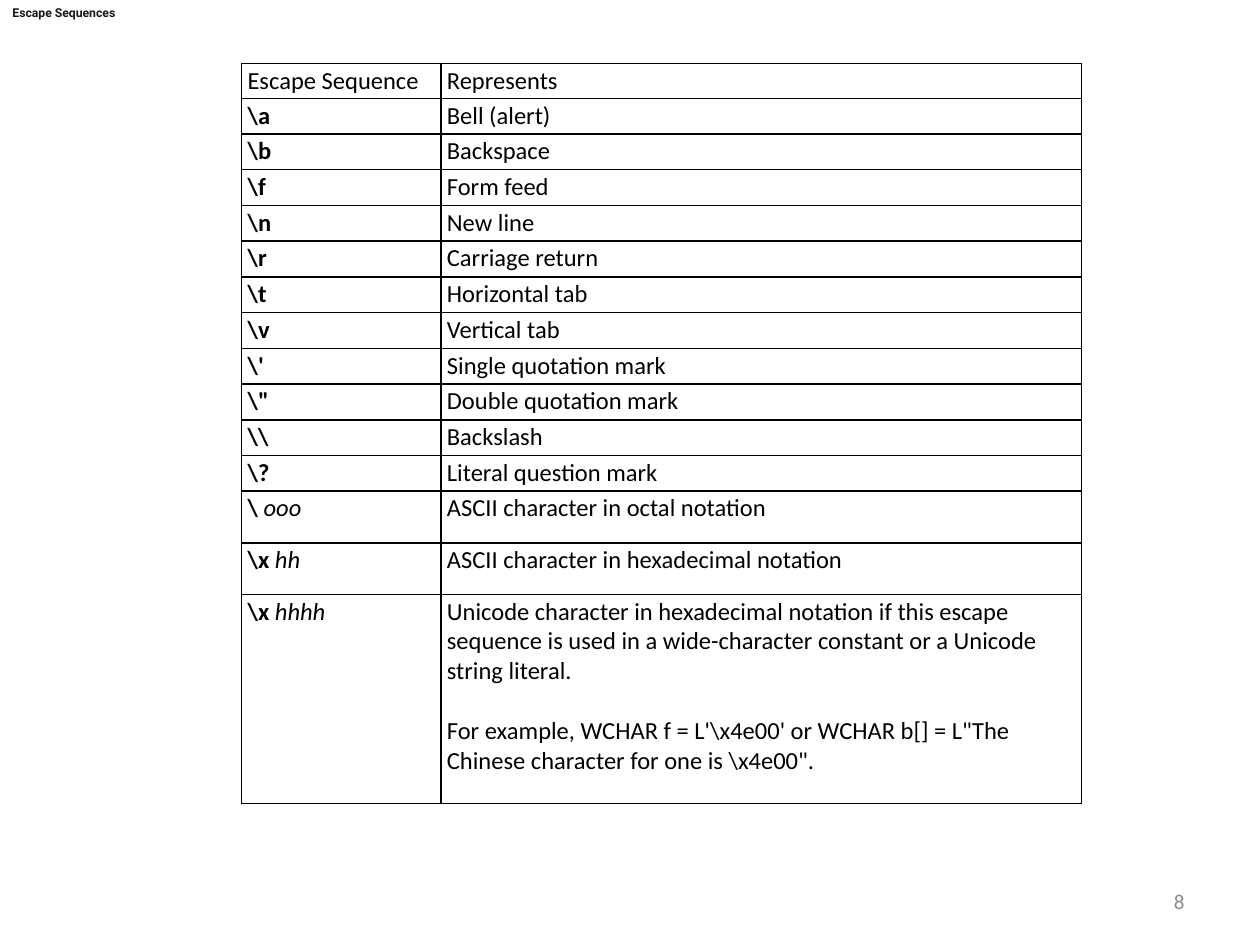
from lxml.etree import SubElement
from pptx import Presentation
from pptx.dml.color import RGBColor
from pptx.enum.text import MSO_ANCHOR as Anchor, MSO_AUTO_SIZE as AutoSize, PP_ALIGN as Align
from pptx.oxml.ns import qn
from pptx.util import Cm, Pt

TITLE = "Escape Sequences"
PAGE_NUMBER = "8"
HEADER = ("Escape Sequence", "Represents")
ESCAPES = [
    (r"\a", "", "Bell (alert)"),
    (r"\b", "", "Backspace"),
    (r"\f", "", "Form feed"),
    (r"\n", "", "New line"),
    (r"\r", "", "Carriage return"),
    (r"\t", "", "Horizontal tab"),
    (r"\v", "", "Vertical tab"),
    (r"\'", "", "Single quotation mark"),
    (r'\"', "", "Double quotation mark"),
    (r"\\", "", "Backslash"),
    (r"\?", "", "Literal question mark"),
    (r"\ ", "ooo", "ASCII character in octal notation"),
    (r"\x ", "hh", "ASCII character in hexadecimal notation"),
    (r"\x ", "hhhh", "Unicode character in hexadecimal notation if this escape sequence "
     "is used in a wide-character constant or a Unicode string literal."),
]
EXAMPLE = (r"""For example, WCHAR f = L'\x4e00' or WCHAR b[] = L"The """
           r"""Chinese character for one is \x4e00".""")
COLUMN_WIDTHS = (4.02, 12.91)
ROW_HEIGHTS = [0.7] + [0.72] * 11 + [1.04] * 2 + [4.22]
BLACK = "000000"


def color(value):
    return RGBColor.from_string(value)


def add_text(paragraph, text, size=14, font="Calibri", fill=BLACK, bold=False, italic=False):
    run = paragraph.add_run()
    run.text = text
    run.font.size = Pt(size)
    run.font.name = font
    run.font.bold = bold
    run.font.italic = italic
    run.font.color.rgb = color(fill)


def format_cell(cell):
    cell.margin_left = cell.margin_right = Cm(0.12)
    cell.margin_top = cell.margin_bottom = Cm(0.05)
    cell.fill.background()
    properties = cell._tc.get_or_add_tcPr()
    for position, side in enumerate(("a:lnL", "a:lnR", "a:lnT", "a:lnB")):
        line = SubElement(properties, qn(side), w=str(Pt(1)))
        fill = SubElement(line, qn("a:solidFill"))
        SubElement(fill, qn("a:srgbClr"), val=BLACK)
        properties.insert(position, line)


def add_title(slide):
    title = slide.shapes.title
    title.left, title.top, title.width, title.height = 0, 0, Cm(25.4), Cm(1.27)
    title.fill.solid()
    title.fill.fore_color.rgb = color("FFFFFF")
    frame = title.text_frame
    frame.auto_size = AutoSize.NONE
    frame.vertical_anchor = Anchor.TOP
    frame.margin_left, frame.margin_top = Cm(0.25), Cm(0.1)
    paragraph = frame.paragraphs[0]
    paragraph.alignment = Align.LEFT
    add_text(paragraph, TITLE, size=7, font="Roboto", fill="171717", bold=True)


def add_escape_table(slide):
    frame = slide.shapes.add_table(len(ROW_HEIGHTS), len(COLUMN_WIDTHS), Cm(4.87), Cm(1.28),
                                   Cm(sum(COLUMN_WIDTHS)), Cm(sum(ROW_HEIGHTS)))
    table = frame.table
    table.first_row = table.horz_banding = False
    for column, width in zip(table.columns, COLUMN_WIDTHS):
        column.width = Cm(width)
    for row, height in zip(table.rows, ROW_HEIGHTS):
        row.height = Cm(height)
    for cell in table.iter_cells():
        format_cell(cell)
    for column, label in enumerate(HEADER):
        add_text(table.cell(0, column).text_frame.paragraphs[0], label)
    for row, (code, digits, meaning) in enumerate(ESCAPES, start=1):
        sequence = table.cell(row, 0).text_frame.paragraphs[0]
        add_text(sequence, code, bold=True)
        if digits:
            add_text(sequence, digits, italic=True)
        add_text(table.cell(row, 1).text_frame.paragraphs[0], meaning)
    example = table.cell(len(ESCAPES), 1).text_frame.add_paragraph()
    example.space_before = Pt(17)
    add_text(example, EXAMPLE)


def add_page_number(slide):
    box = slide.shapes.add_textbox(Cm(18.2), Cm(17.67), Cm(5.93), Cm(1.01))
    frame = box.text_frame
    frame.word_wrap = True
    frame.vertical_anchor = Anchor.MIDDLE
    paragraph = frame.paragraphs[0]
    paragraph.alignment = Align.RIGHT
    add_text(paragraph, PAGE_NUMBER, size=12, fill="8C8C8C")


def main():
    presentation = Presentation()
    presentation.slide_width, presentation.slide_height = Cm(25.4), Cm(19.05)
    slide = presentation.slides.add_slide(presentation.slide_layouts[5])
    add_title(slide)
    add_escape_table(slide)
    add_page_number(slide)
    presentation.save("out.pptx")


if __name__ == "__main__":
    main()
